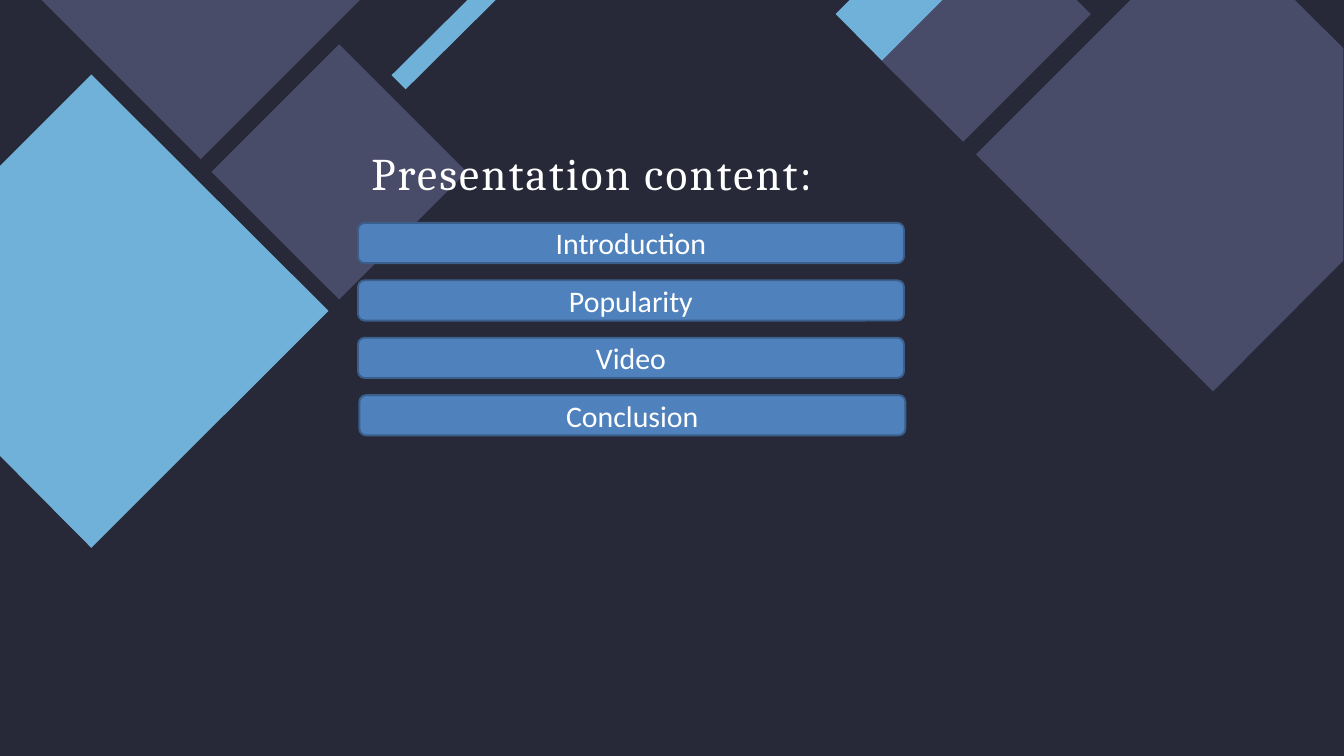
from dataclasses import dataclass

from pptx import Presentation
from pptx.dml.color import RGBColor
from pptx.enum.shapes import MSO_SHAPE as Shape
from pptx.enum.text import MSO_ANCHOR as Anchor, MSO_AUTO_SIZE as AutoSize, PP_ALIGN as Align
from pptx.util import Inches, Pt

NIGHT, SLATE, SKY = "282938", "484C68", "70B1DA"
BUTTON, BUTTON_EDGE, WHITE = "4F81BD", "3A5F8C", "FFFFFF"

Point = tuple[float, float]


@dataclass
class Tile:
    color: str
    points: list[Point]


@dataclass
class Button:
    label: str
    left: float = 5.33


RIGHT_TILES = [
    Tile(SLATE, [(16.03, 0), (13.82, 0), (13.02, 0.8), (14.34, 2.11), (16.24, 0.21)]),
    Tile(SKY, [(14.03, 0), (12.65, 0), (12.44, 0.21), (13.13, 0.9)]),
]
LEFT_TILES = [
    Tile(SKY, [(7.38, 0), (6.96, 0), (5.83, 1.12), (6.04, 1.33)]),
    Tile(SLATE, [(5.05, 0.66), (3.15, 2.56), (5.05, 4.46), (6.95, 2.56)]),
    Tile(SKY, [(1.36, 1.11), (0, 2.47), (0, 6.79), (1.36, 8.16), (4.89, 4.63)]),
]
SINGLE_TILES = [
    Tile(SLATE, [(19.28, 0), (16.83, 0), (14.53, 2.3), (18.06, 5.83), (20, 3.88), (20, 0.72)]),
    Tile(SLATE, [(5.36, 0), (0.62, 0), (2.99, 2.37)]),
]
BUTTONS = [
    Button("Introduction"),
    Button("Popularity"),
    Button("Video"),
    Button("Conclusion", left=5.35),
]
BUTTON_TOP, BUTTON_STEP = 3.32, 0.855
BUTTON_WIDTH, BUTTON_HEIGHT = 8.13, 0.6


def rgb(color: str) -> RGBColor:
    return RGBColor.from_string(color)


def paint(target, color: str) -> None:
    """Give a shape, line or background a solid fill."""
    target.fill.solid()
    target.fill.fore_color.rgb = rgb(color)


def add_tile(shapes, tile: Tile) -> None:
    start, *rest = [(Inches(x), Inches(y)) for x, y in tile.points]
    builder = shapes.build_freeform(*start)
    builder.add_line_segments(rest, close=True)
    sp = builder.convert_to_shape()
    sp.shadow.inherit = False
    paint(sp, tile.color)
    sp.line.fill.background()


def add_run(p, text: str, font: str, size: float):
    r = p.add_run()
    r.text = text
    r.font.name = font
    r.font.size = Pt(size)
    r.font.color.rgb = rgb(WHITE)
    return r


def format_title(s, text: str) -> None:
    sp = s.shapes.title
    sp.element.getparent().append(sp.element)  # bring in front of the tiles
    sp.left, sp.top = Inches(5.53), Inches(2.15)
    sp.width, sp.height = Inches(8.19), Inches(0.84)
    tf = sp.text_frame
    tf.margin_left = tf.margin_right = tf.margin_bottom = 0
    tf.margin_top = Inches(0.15)
    tf.vertical_anchor = Anchor.TOP
    tf.word_wrap = True
    tf.auto_size = AutoSize.NONE
    p = tf.paragraphs[0]
    p.alignment = Align.LEFT
    p.line_spacing = Pt(48.8)
    p.space_before = Pt(10.7)
    r = add_run(p, text, "Cambria", 48.5)
    r.font._element.set("spc", "240") if hasattr(r.font, "_element") else r._r.get_or_add_rPr().set("spc", "240")


def add_button(s, button: Button, top: float) -> None:
    sp = s.shapes.add_shape(Shape.ROUNDED_RECTANGLE, Inches(button.left), Inches(top),
                            Inches(BUTTON_WIDTH), Inches(BUTTON_HEIGHT))
    sp.shadow.inherit = False
    paint(sp, BUTTON)
    sp.line.color.rgb = rgb(BUTTON_EDGE)
    sp.line.width = Pt(2)
    tf = sp.text_frame
    tf.vertical_anchor = Anchor.MIDDLE
    p = tf.paragraphs[0]
    p.alignment = Align.CENTER
    add_run(p, button.label, "Calibri", 32)


def main() -> None:
    prs = Presentation()
    prs.slide_width, prs.slide_height = Inches(20.01), Inches(11.26)
    s = prs.slides.add_slide(prs.slide_layouts[5])
    paint(s.background, NIGHT)
    for tiles in (RIGHT_TILES, LEFT_TILES):
        group = s.shapes.add_group_shape()
        for tile in tiles:
            add_tile(group.shapes, tile)
    for tile in SINGLE_TILES:
        add_tile(s.shapes, tile)
    format_title(s, "Presentation content:")
    for i, button in enumerate(BUTTONS):
        add_button(s, button, BUTTON_TOP + i * BUTTON_STEP)
    prs.save("out.pptx")


if __name__ == "__main__":
    main()
